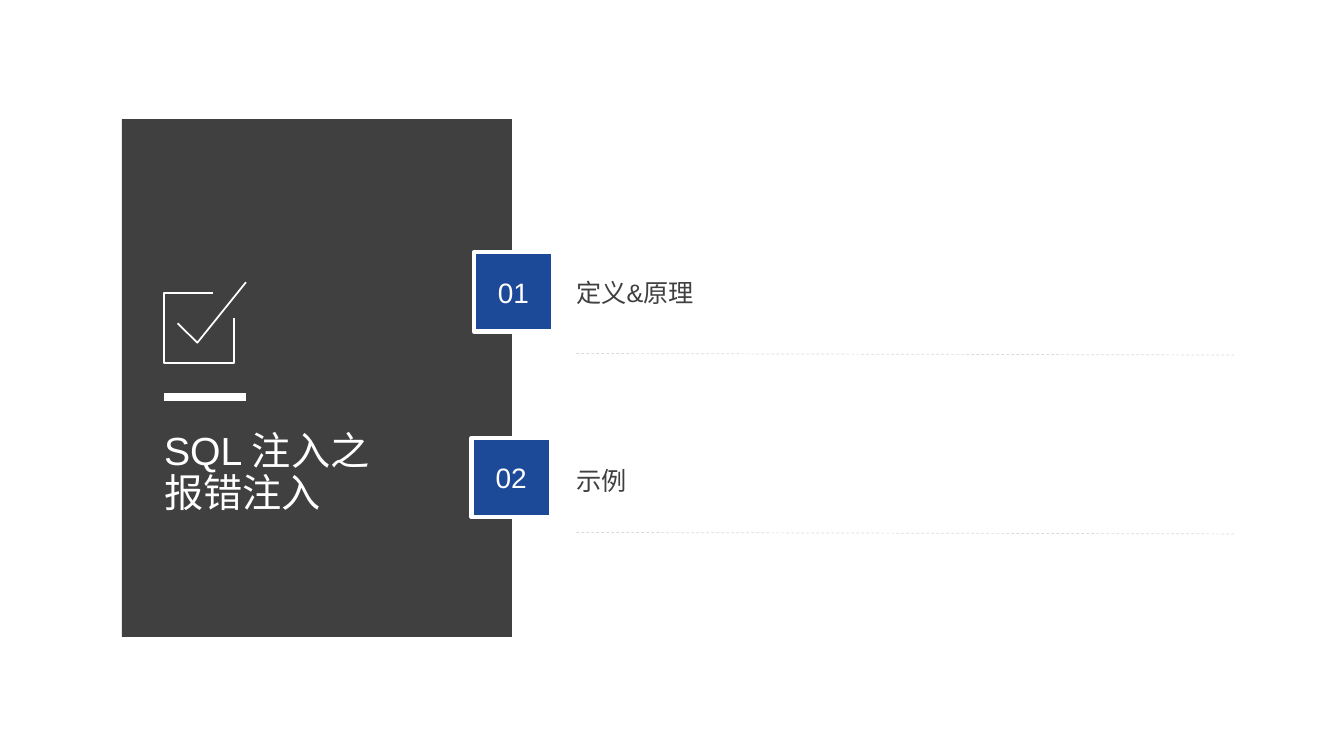
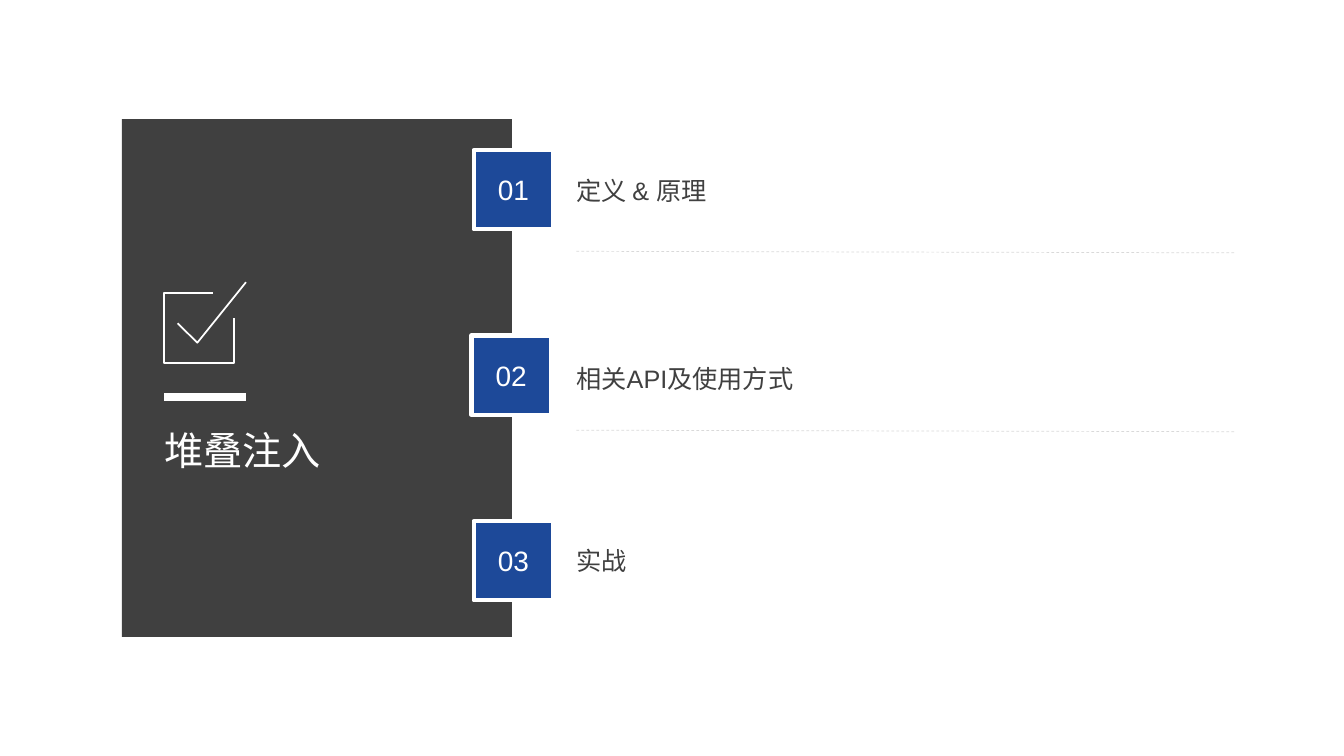
from dataclasses import dataclass

import pptx
import pptx.dml.color
import pptx.enum.dml
import pptx.enum.shapes
import pptx.enum.text
import pptx.oxml.ns
import pptx.util
import lxml.etree

Pt = pptx.util.Pt
ANCHOR = pptx.enum.text.MSO_ANCHOR
ALIGN = pptx.enum.text.PP_ALIGN


@dataclass(frozen=True)
class Theme:
    font: str = "Arial"
    white: str = "FFFFFF"
    dark: str = "404040"
    blue: str = "1D4999"
    rule: str = "D9D9D9"
    title_size: float = 28
    number_size: float = 20
    label_size: float = 18


THEME = Theme()

# Shared layout, in points
SLIDE_W, SLIDE_H = 960, 540
PANEL = (87.1, 85, 278.6, 370)
ICON_LEFT = 117.3
TITLE_TOP, TITLE_W, TITLE_LINE_H = 308.2, 192.2, 30.5
TICK = [(175.7, 201.6), (141, 244.8), (126.9, 231)]
BOX = [(167.3, 227.4), (167.3, 259.4), (ICON_LEFT, 259.4),
       (ICON_LEFT, 209.3), (152.3, 209.3)]
BADGE = 56.7
LABEL_LEFT, LABEL_W, LABEL_H = 411.7, 470.2, 21.6
ROW_PITCH = 132.5
RULE_GAP, RULE_PITCH, RULE_DROP = 72.3, 127.8, 1.1
# Badge left and label offset below the badge top, row by row
ROWS = [(338.4, 18.1), (336.8, 19.9), (338.4, 17.4)]


def rgb(value):
    return pptx.dml.color.RGBColor.from_string(value)


def style_line(line, color, width):
    line.color.rgb = rgb(color)
    line.width = Pt(width)


def add_box(shapes, x, y, w, h, fill):
    sp = shapes.add_shape(pptx.enum.shapes.MSO_SHAPE.RECTANGLE,
                          Pt(x), Pt(y), Pt(w), Pt(h))
    sp.shadow.inherit = False
    sp.fill.solid()
    sp.fill.fore_color.rgb = rgb(fill)
    sp.line.fill.background()
    return sp


def add_line(shapes, x1, y1, x2, y2, color, width):
    cn = shapes.add_connector(pptx.enum.shapes.MSO_CONNECTOR.STRAIGHT,
                              Pt(x1), Pt(y1), Pt(x2), Pt(y2))
    style_line(cn.line, color, width)
    lxml.etree.SubElement(cn._element.spPr, pptx.oxml.ns.qn("a:effectLst"))
    return cn


def add_outline(shapes, points):
    start, *rest = [(Pt(x), Pt(y)) for x, y in points]
    builder = shapes.build_freeform(*start)
    builder.add_line_segments(rest, close=False)
    sp = builder.convert_to_shape()
    sp.shadow.inherit = False
    sp.fill.background()
    style_line(sp.line, THEME.white, 1.25)


def write(tf, lines, size, color, align=ALIGN.LEFT, spacing=None):
    for i, text in enumerate(lines):
        p = tf.add_paragraph() if i else tf.paragraphs[0]
        p.alignment = align
        p.line_spacing = spacing
        r = p.add_run()
        r.text = text
        r.font.name = THEME.font
        r.font.size = Pt(size)
        r.font.color.rgb = rgb(color)


def add_text(shapes, x, y, w, h, anchor):
    tf = shapes.add_textbox(Pt(x), Pt(y), Pt(w), Pt(h)).text_frame
    tf.margin_left = tf.margin_top = tf.margin_right = tf.margin_bottom = 0
    tf.word_wrap = True
    tf.auto_size = pptx.enum.text.MSO_AUTO_SIZE.SHAPE_TO_FIT_TEXT
    tf.vertical_anchor = anchor
    return tf


def add_panel(slide, title):
    add_box(slide.shapes, *PANEL, THEME.dark)
    shapes = slide.shapes.add_group_shape().shapes
    tf = add_text(shapes, ICON_LEFT, TITLE_TOP, TITLE_W,
                  TITLE_LINE_H * len(title), ANCHOR.TOP)
    write(tf, title, THEME.title_size, THEME.white, spacing=0.9)
    add_line(shapes, ICON_LEFT, 283.5, 175.7, 283.5, THEME.white, 6)
    add_outline(shapes, TICK)
    add_outline(shapes, BOX)


def add_row(slide, index, top, label):
    badge_left, label_drop = ROWS[index]
    y = top + index * ROW_PITCH
    sp = add_box(slide.shapes, badge_left, y, BADGE, BADGE, THEME.blue)
    style_line(sp.line, THEME.white, 3)
    sp.text_frame.vertical_anchor = ANCHOR.MIDDLE
    write(sp.text_frame, [f"{index + 1:02}"], THEME.number_size,
          THEME.white, ALIGN.CENTER)
    tf = add_text(slide.shapes, LABEL_LEFT, y + label_drop,
                  LABEL_W, LABEL_H, ANCHOR.MIDDLE)
    write(tf, [label], THEME.label_size, THEME.dark)


def add_rule(slide, index, top):
    y = top + RULE_GAP + index * RULE_PITCH
    cn = add_line(slide.shapes, LABEL_LEFT, y, LABEL_LEFT + LABEL_W,
                  y + RULE_DROP, THEME.rule, 0.5)
    cn.line.dash_style = pptx.enum.dml.MSO_LINE.DASH


def add_agenda(prs, title, top, labels):
    slide = prs.slides.add_slide(prs.slide_layouts[6])
    add_panel(slide, title)
    for i, label in enumerate(labels):
        add_row(slide, i, top, label)
    for i in range(2):
        add_rule(slide, i, top)


def main():
    prs = pptx.Presentation()
    prs.slide_width, prs.slide_height = Pt(SLIDE_W), Pt(SLIDE_H)
    add_agenda(prs, ["SQL 注入之", "报错注入"], 180.2, ["定义&原理", "示例"])
    add_agenda(prs, ["堆叠注入"], 107.2,
               ["定义 & 原理", "相关API及使用方式", "实战"])
    prs.save("out.pptx")


if __name__ == "__main__":
    main()
